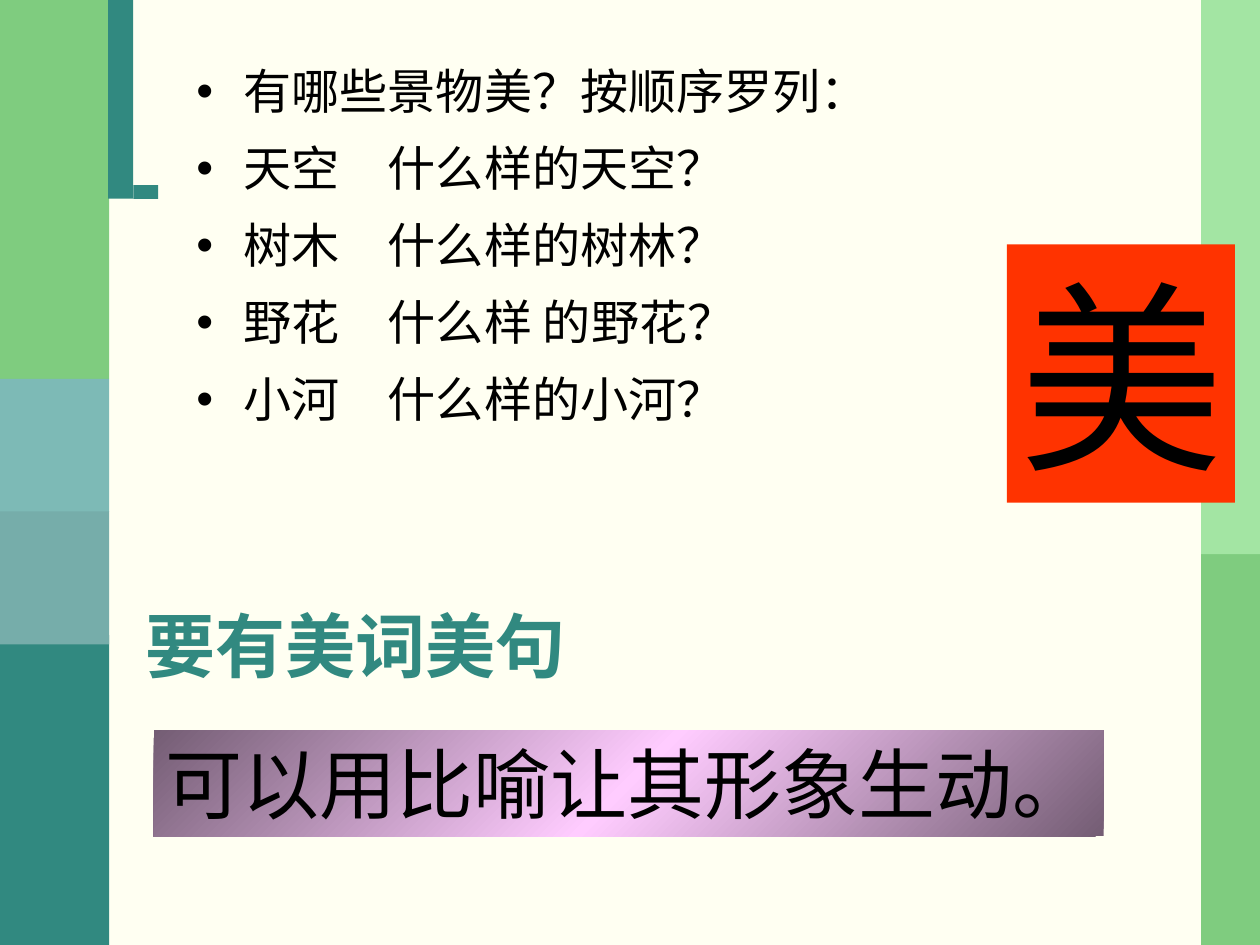
from copy import deepcopy

from lxml import etree
from pptx import Presentation
from pptx.dml.color import RGBColor
from pptx.enum.shapes import MSO_SHAPE
from pptx.enum.text import MSO_ANCHOR, PP_ALIGN
from pptx.oxml.ns import qn
from pptx.util import Pt

RECTANGLE = MSO_SHAPE.RECTANGLE
TOP, MIDDLE = MSO_ANCHOR.TOP, MSO_ANCHOR.MIDDLE
LEFT = PP_ALIGN.LEFT

CREAM = RGBColor(0xFF, 0xFF, 0xF2)
GREEN = RGBColor(0x7F, 0xCC, 0x7F)
LIGHT_GREEN = RGBColor(0xA3, 0xE5, 0xA3)
TEAL = RGBColor(0x31, 0x89, 0x80)
PALE_BLUE = RGBColor(0x7D, 0xBA, 0xB6)
GREY_BLUE = RGBColor(0x76, 0xAD, 0xAA)
PLUM = RGBColor(0x74, 0x5D, 0x74)
PINK = RGBColor(0xFF, 0xCC, 0xFF)
RED = RGBColor(0xFF, 0x33, 0x00)
BLACK = RGBColor(0, 0, 0)


def add_rectangle(left, top, width, height, color):
    shape = slide.shapes.add_shape(RECTANGLE, Pt(left), Pt(top), Pt(width), Pt(height))
    shape.shadow.inherit = False
    shape.fill.solid()
    shape.fill.fore_color.rgb = color
    shape.line.fill.background()
    return shape


def write_text(shape, lines, size, color=BLACK, bold=False, anchor=TOP,
               wrap=True, bullet=None, indent=0, space_before=0):
    """Fill a shape with one paragraph per line; indent hangs the bullet."""
    frame = shape.text_frame
    frame.word_wrap = wrap
    frame.vertical_anchor = anchor
    for index, line in enumerate(lines):
        paragraph = frame.paragraphs[0] if index == 0 else frame.add_paragraph()
        paragraph.text = line
        paragraph.alignment = LEFT
        if index:
            paragraph.space_before = Pt(space_before)
        if bullet:
            properties = paragraph._p.get_or_add_pPr()
            properties.set("marL", str(Pt(indent)))
            properties.set("indent", str(-Pt(indent)))
            etree.SubElement(properties, qn("a:buFont"), typeface="Arial")
            etree.SubElement(properties, qn("a:buChar"), char=bullet)
        font = paragraph.font
        font.name = "Arial"
        font.size = Pt(size)
        font.bold = bold
        font.color.rgb = color


presentation = Presentation()
presentation.slide_width, presentation.slide_height = Pt(720), Pt(540)
slide = presentation.slides.add_slide(presentation.slide_layouts[6])
slide.background.fill.solid()
slide.background.fill.fore_color.rgb = CREAM

# Side bands and corner bracket
for band in [
    (686.4, 169, 33.6, 371, GREEN),
    (686.4, 0, 33.6, 316.6, LIGHT_GREEN),
    (0, 363, 62.4, 177, TEAL),
    (0, 0, 62.4, 216.5, GREEN),
    (0, 216.5, 62.4, 76, PALE_BLUE),
    (0, 292.2, 62.4, 76, GREY_BLUE),
    (61.8, 0, 14.4, 113.5, TEAL),
    (76.2, 105.8, 14.2, 7.9, TEAL),
]:
    add_rectangle(*band)

title = slide.shapes.add_textbox(Pt(76.3), Pt(326), Pt(607.7), Pt(84.2))
write_text(title, ["要有美词美句"], 40, color=TEAL, bold=True, anchor=MIDDLE)

questions = slide.shapes.add_textbox(Pt(105.1), Pt(31.7), Pt(584.6), Pt(266.4))
write_text(questions, [
    "有哪些景物美？按顺序罗列：",
    "天空　什么样的天空？",
    "树木　什么样的树林？",
    "野花　什么样 的野花？",
    "小河　什么样的小河？",
], 27.5, bullet="•", indent=27, space_before=11)

advice = add_rectangle(87.8, 417.4, 542.9, 60.5, PLUM)
advice.fill.gradient()
advice.fill.gradient_angle = 135
edge, centre = advice.fill.gradient_stops
edge.color.rgb, edge.position = PLUM, 0
centre.color.rgb, centre.position = PINK, 0.5
stop_list = advice._element.xpath(".//a:gsLst")[0]
far_edge = deepcopy(stop_list[0])
far_edge.set("pos", "100000")
stop_list.append(far_edge)
write_text(advice, ["可以用比喻让其形象生动。"], 44, wrap=False)

beauty = add_rectangle(575.4, 139.7, 130.3, 147.6, RED)
write_text(beauty, ["美"], 117)

presentation.save("out.pptx")
